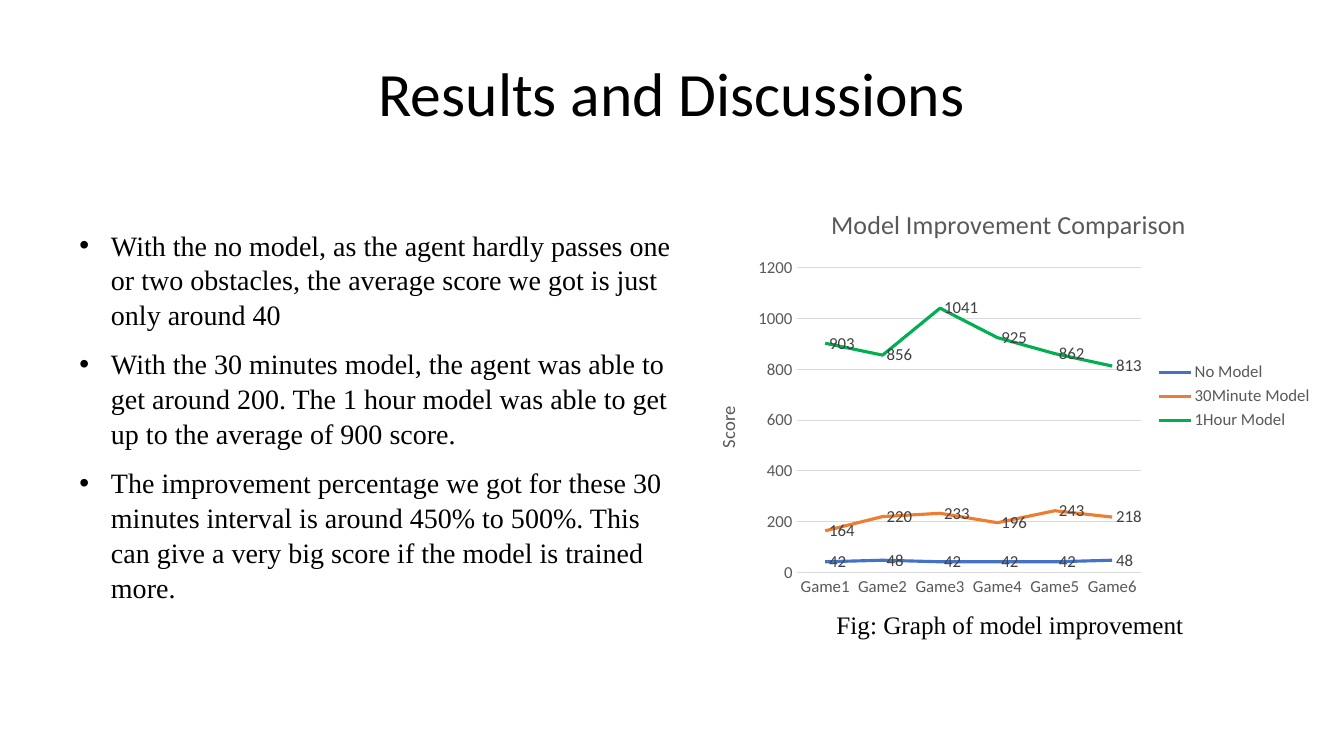
from pptx import Presentation
from pptx.chart.data import CategoryChartData
from pptx.dml.color import RGBColor
from pptx.enum.chart import XL_CHART_TYPE, XL_LABEL_POSITION, XL_LEGEND_POSITION, XL_MARKER_STYLE, XL_TICK_MARK
from pptx.enum.text import MSO_ANCHOR, PP_ALIGN
from pptx.oxml.ns import qn
from pptx.util import Pt
from lxml import etree

LINE = XL_CHART_TYPE.LINE
RIGHT = XL_LEGEND_POSITION.RIGHT
LABEL_RIGHT = XL_LABEL_POSITION.RIGHT
NO_MARKER = XL_MARKER_STYLE.NONE
NO_TICK = XL_TICK_MARK.NONE
CENTER = PP_ALIGN.CENTER
MIDDLE = MSO_ANCHOR.MIDDLE

COLORS = {"text": "000000", "axis": "595959", "label": "404040", "grid": "D9D9D9",
          "No Model": "4472C4", "30Minute Model": "ED7D31", "1Hour Model": "00B050"}
SCORES = {"No Model": (42, 48, 42, 42, 42, 48),
          "30Minute Model": (164, 220, 233, 196, 243, 218),
          "1Hour Model": (903, 856, 1041, 925, 862, 813)}
FINDINGS = [
    "With the no model, as the agent hardly passes one or two obstacles, the average score we got is just only around 40",
    "With the 30 minutes model, the agent was able to get around 200. The 1 hour model was able to get up to the average of 900 score.",
    "The improvement percentage we got for these 30 minutes interval is around 450% to 500%. This can give a very big score if the model is trained more.",
]


def style_font(font, size, color, name="Calibri"):
    font.size = Pt(size)
    font.name = name
    font.bold = False
    font.color.rgb = RGBColor.from_string(COLORS[color])


def add_text(s, box, lines, size, name):
    tf = s.shapes.add_textbox(*[Pt(v) for v in box]).text_frame
    tf.word_wrap = True
    tf.text = "\n".join(lines)
    for p in tf.paragraphs:
        style_font(p.runs[0].font, size, "text", name)
    return tf


prs = Presentation()
prs.slide_width, prs.slide_height = Pt(960), Pt(540)
s = prs.slides.add_slide(prs.slide_layouts[6])

tf = add_text(s, (66, 16.5, 828, 104.5), ["Results and Discussions"], 44, "Calibri")
tf.vertical_anchor = MIDDLE
tf.paragraphs[0].alignment = CENTER
tf.paragraphs[0].line_spacing = 0.9

data = CategoryChartData()
data.categories = [f"Game{i}" for i in range(1, 7)]
for name, scores in SCORES.items():
    data.add_series(name, scores)
chart = s.shapes.add_chart(LINE, Pt(495.5), Pt(134), Pt(450), Pt(298), data).chart
style_font(chart.font, 10, "text")

chart.has_title = True
chart.chart_title.include_in_layout = False
chart.value_axis.has_title = True
for title, text, size in ((chart.chart_title, "Model Improvement Comparison", 18.6),
                          (chart.value_axis.axis_title, "Score", 13.3)):
    title.text_frame.text = text
    style_font(title.text_frame.paragraphs[0].runs[0].font, size, "axis")

chart.has_legend = True
chart.legend.position = RIGHT
chart.legend.include_in_layout = False
style_font(chart.legend.font, 12, "axis")

for axis in (chart.category_axis, chart.value_axis):
    axis.major_tick_mark = axis.minor_tick_mark = NO_TICK
    style_font(axis.tick_labels.font, 12, "axis")
chart.value_axis.minimum_scale = 0
chart.value_axis.maximum_scale = 1200
chart.value_axis.major_unit = 200
chart.value_axis.format.line.fill.background()
for line in (chart.category_axis.format.line, chart.value_axis.major_gridlines.format.line):
    line.color.rgb = RGBColor.from_string(COLORS["grid"])
    line.width = Pt(0.75)

plot = chart.plots[0]
plot.vary_by_categories = False
for series in plot.series:
    series.smooth = False
    series.marker.style = NO_MARKER
    series.format.line.color.rgb = RGBColor.from_string(COLORS[series.name])
    series.format.line.width = Pt(2.25)
    labels = series.data_labels
    labels.show_value = True
    labels.position = LABEL_RIGHT
    style_font(labels.font, 12, "label")

tf = add_text(s, (49.7, 158.4, 446.4, 270), FINDINGS, 20, "Times New Roman")
for p in tf.paragraphs:
    p.space_after = Pt(10)
    p.line_spacing = 1.04
    pPr = p._p.get_or_add_pPr()
    pPr.set("marL", str(Pt(22.5)))
    pPr.set("indent", str(-Pt(22.5)))
    etree.SubElement(pPr, qn("a:buFont"), typeface="Arial")
    etree.SubElement(pPr, qn("a:buChar"), char="•")

add_text(s, (590.4, 432, 264.2, 29), ["Fig: Graph of model improvement"], 18, "Times New Roman")

prs.save("out.pptx")
